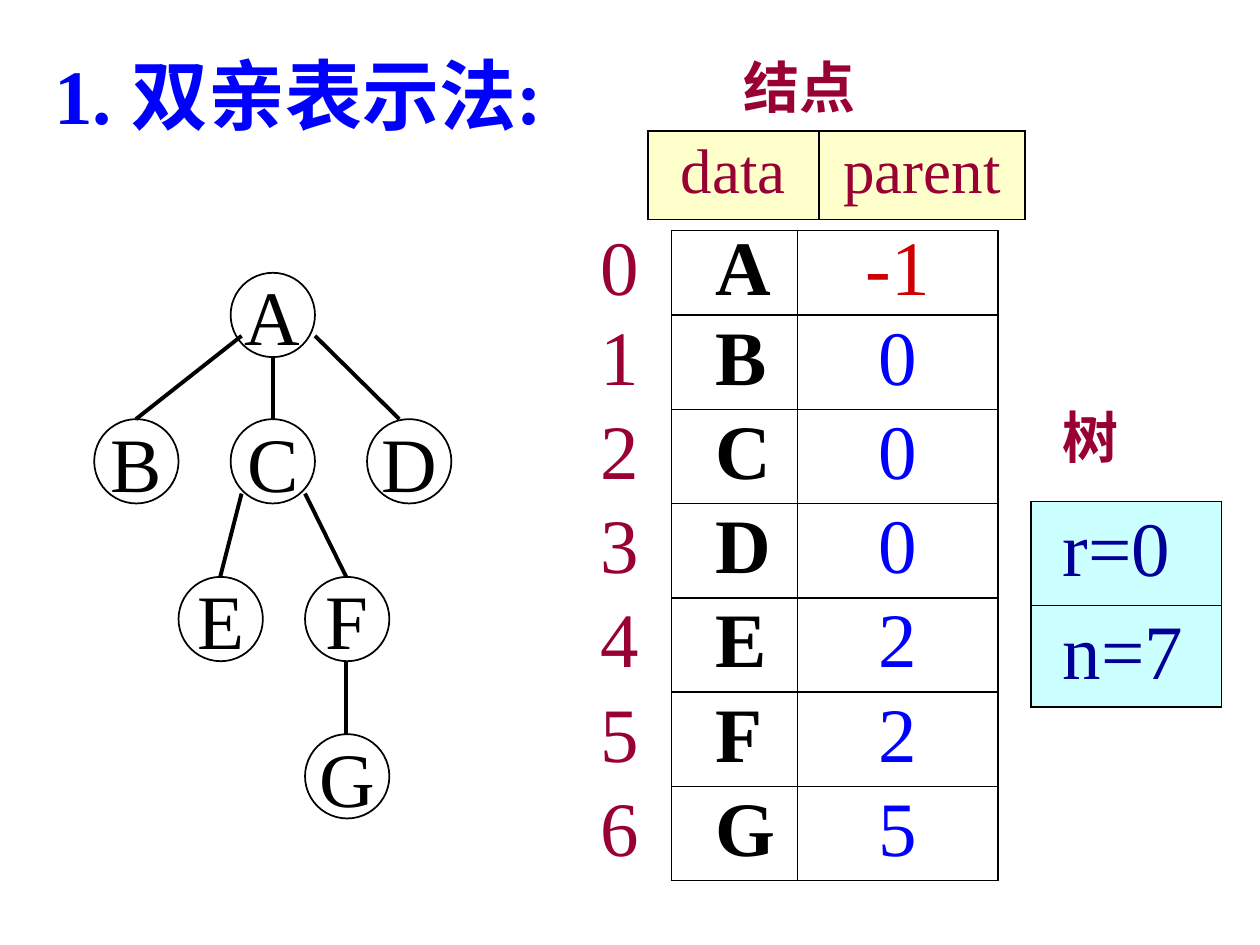
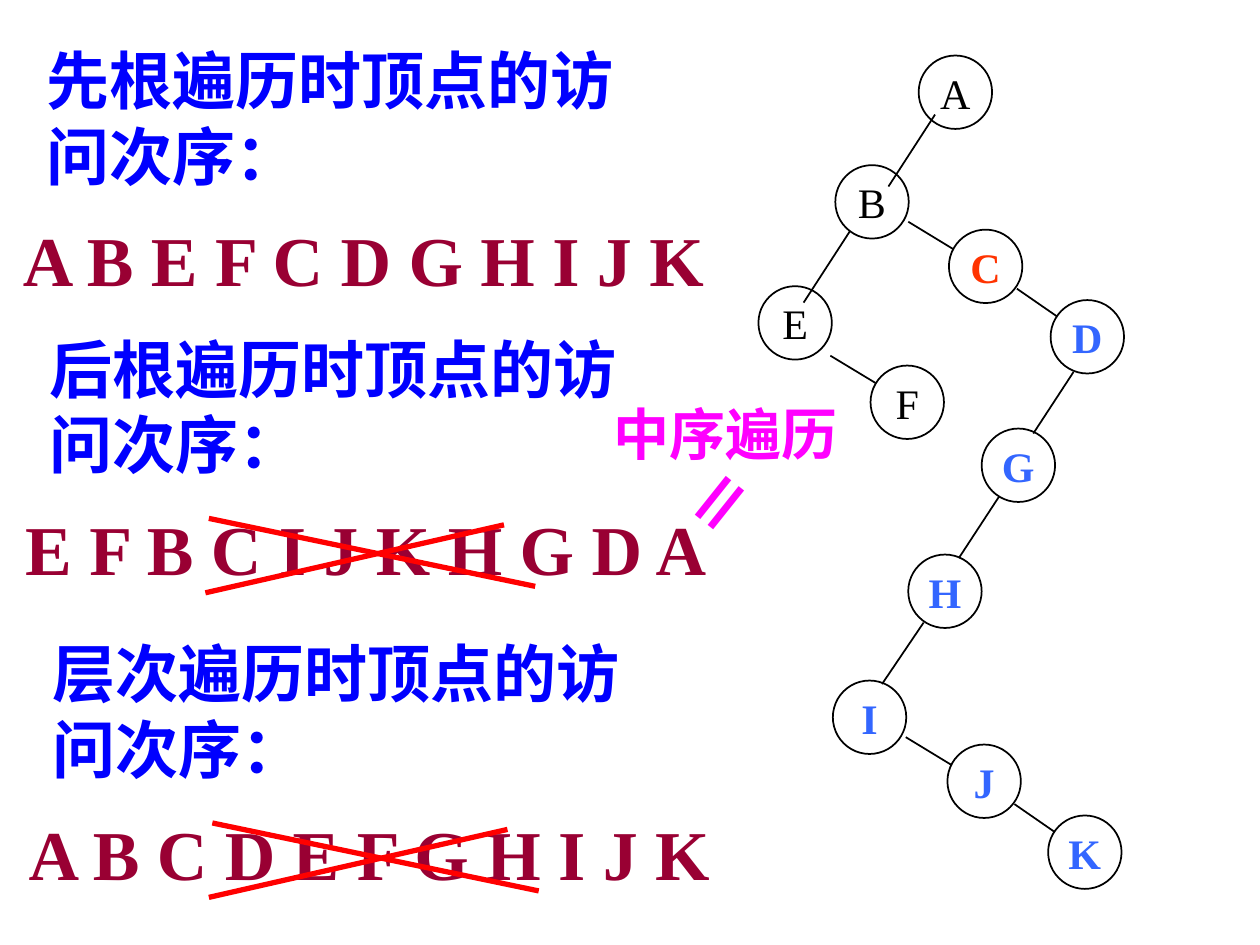
from lxml.etree import SubElement
from pptx import Presentation
from pptx.dml.color import RGBColor as Rgb
from pptx.enum.shapes import MSO_CONNECTOR as Link, MSO_SHAPE as Form
from pptx.enum.text import MSO_ANCHOR as Anchor, MSO_AUTO_SIZE as Fit, PP_ALIGN as Align
from pptx.oxml.ns import qn
from pptx.util import Cm, Pt

FONT = "Times New Roman"
HUES = {
    "black": "000000", "blue": "0000FF", "wine": "990033", "navy": "000099",
    "red": "FF0000", "brick": "CC0000", "pink": "FF00FF", "sky": "3366FF",
    "coral": "FF3300", "cream": "FFFFCC", "aqua": "CCFFFF",
}


def hue(name):
    """Return the named colour."""
    return Rgb.from_string(HUES[name])


def write(frame, text, size, tone, bold=False, align=Align.LEFT, space=None):
    """Put one formatted run into the first paragraph."""
    para = frame.paragraphs[0]
    para.alignment = align
    para.line_spacing = space
    run = para.add_run()
    run.text = text
    font = run.font
    font.name, font.size, font.bold = FONT, Pt(size), bold
    font.color.rgb = hue(tone)


def label(slide, box, text, size, tone, wrap=True, space=None):
    """Add a bold text box."""
    shape = slide.shapes.add_textbox(*map(Cm, box))
    shape.text_frame.word_wrap = wrap
    write(shape.text_frame, text, size, tone, True, space=space)
    return shape


def title(slide, box, text, size):
    """Move and fill the title placeholder."""
    shape = slide.shapes.title
    shape.left, shape.top, shape.width, shape.height = map(Cm, box)
    frame = shape.text_frame
    frame.word_wrap, frame.auto_size = True, Fit.NONE
    frame.vertical_anchor = Anchor.TOP
    write(frame, text, size, "blue", True)


def stroke(slide, box, ends, tone, width):
    """Draw a line between two points of a box."""
    x, y = box[:2]
    x1, y1, x2, y2 = ends
    line = slide.shapes.add_connector(
        Link.STRAIGHT, Cm(x + x1), Cm(y + y1), Cm(x + x2), Cm(y + y2))
    line.line.color.rgb = hue(tone)
    line.line.width = Pt(width)
    SubElement(line.element.spPr, qn("a:effectLst"))


def tree(slide, box, nodes, edges, side, size, width):
    """Draw round lettered nodes and their edges."""
    x, y = box[:2]
    for name, dx, dy, tone in nodes:
        node = slide.shapes.add_shape(
            Form.OVAL, Cm(x + dx), Cm(y + dy), Cm(side), Cm(side))
        node.shadow.inherit = False
        node.fill.background()
        node.line.color.rgb = hue("black")
        node.line.width = Pt(1)
        frame = node.text_frame
        frame.word_wrap = False
        frame.vertical_anchor = Anchor.MIDDLE
        frame.margin_left = frame.margin_right = 0
        frame.margin_top = frame.margin_bottom = 0
        write(frame, name, size, tone, tone != "black", Align.CENTER)
    for ends in edges:
        stroke(slide, box, ends, "black", width)


def border(cell, sides):
    """Draw the given sides of a cell and clear the others."""
    props = cell._tc.get_or_add_tcPr()
    for side in "LRTB":
        line = SubElement(props, qn(f"a:ln{side}"), w=str(Pt(1)))
        if side in sides:
            fill = SubElement(line, qn("a:solidFill"))
            SubElement(fill, qn("a:srgbClr"), val=HUES["black"])
        else:
            SubElement(line, qn("a:noFill"))


def grid(slide, box, cols, rows, cells, styles, size, fill=None):
    """Add a table; each column style is inset, alignment and sides."""
    table = slide.shapes.add_table(len(rows), len(cols), *map(Cm, box)).table
    table.first_row = table.horz_banding = False
    for col, width in zip(table.columns, cols):
        col.width = Cm(width)
    for r, (height, line) in enumerate(zip(rows, cells)):
        table.rows[r].height = Cm(height)
        for c, (text, tone, bold) in enumerate(line):
            inset, align, sides = styles[c]
            cell = table.cell(r, c)
            border(cell, sides)
            if fill:
                cell.fill.solid()
                cell.fill.fore_color.rgb = hue(fill)
            else:
                cell.fill.background()
            cell.margin_left = Cm(inset)
            cell.margin_right = cell.margin_top = cell.margin_bottom = 0
            cell.vertical_anchor = Anchor.MIDDLE
            write(cell.text_frame, text, size, tone, bold, align, 0.9)


def order(slide, box, head, seq, first=False, wrong=False):
    """Place a traversal heading with its sequence, crossed out if wrong."""
    if first:
        title(slide, box, head, 36)
    else:
        label(slide, box, head, 36, "blue")
    row = (box[0] - 0.48, box[1] + 3.54, 14.38, 1.96)
    label(slide, row, " ".join(seq), 40, "wine", wrap=False)
    if wrong:
        for ends in ((3.95, 0.38, 10.53, 1.75), (3.88, 1.88, 9.9, 0.51)):
            stroke(slide, row, ends, "red", 3)


def parents(slide):
    """Build the parent array slide."""
    title(slide, (0.84, 0.84, 10.34, 3.9), "1. 双亲表示法:", 44)
    top, low, base, last = 0, 2.95, 6.13, 9.3
    spots = (("A", 2.75, top), ("B", 0, low), ("C", 2.75, low), ("D", 5.5, low),
             ("E", 1.7, base), ("F", 4.25, base), ("G", 4.25, last))
    edges = (
        (3.6, 1.68, 3.6, low), (4.45, 1.27, 6.15, low), (2.97, 1.27, 0.84, low),
        (2.97, 4.45, 2.54, base), (4.25, 4.45, 5.08, base), (5.08, 7.82, 5.08, last))
    tree(slide, (1.9, 5.5, 7.2, 11), [(*spot, "black") for spot in spots],
         edges, 1.7, 44, 2.25)

    label(slide, (14.74, 0.79, 4.4, 1.75), "结点", 32, "wine", space=1.1)
    mid = (0, Align.CENTER, "LRTB")
    heads = [("data", "wine", False), ("parent", "wine", False)]
    grid(slide, (13.06, 2.64, 7.6, 1.78), (3.45, 4.15), (1.78,),
         [heads], (mid, mid), 36, "cream")

    links = zip("ABCDEFG", ("-1", "0", "0", "0", "2", "2", "5"))
    cells = [[(str(i), "wine", False), (name, "black", True),
              (link, "blue" if i else "brick", False)]
             for i, (name, link) in enumerate(links)]
    styles = ((0.25, Align.LEFT, "R"), (0.88, Align.LEFT, "LRTB"), mid)
    grid(slide, (11.86, 4.65, 8.26, 13.13), (1.68, 2.54, 4.04),
         [1.7] + [1.9] * 6, cells, styles, 44)

    label(slide, (21.16, 7.85, 3.4, 1.75), "树", 32, "wine", space=1.1)
    facts = [[(text, "navy", False)] for text in ("r=0", "n=7")]
    grid(slide, (20.78, 10.11, 3.84, 4.14), (3.84,), (2.1, 2.04), facts,
         [(0.64, Align.LEFT, "LRTB")], 44, "aqua")


def visits(slide):
    """Build the traversal order slide."""
    nodes = (
        ("A", 3.23, 0, "black"), ("B", 1.55, 2.21, "black"),
        ("C", 3.84, 3.51, "coral"), ("D", 5.89, 4.93, "sky"),
        ("E", 0, 4.65, "black"), ("F", 2.26, 6.25, "black"),
        ("G", 4.5, 7.52, "sky"), ("H", 3.02, 10.06, "sky"),
        ("I", 1.5, 12.6, "sky"), ("J", 3.81, 13.89, "sky"),
        ("K", 5.84, 15.32, "sky"))
    edges = (
        (3.56, 1.19, 2.62, 2.64), (3.02, 3.35, 3.94, 3.91),
        (1.85, 3.53, 0.91, 4.98), (1.45, 6.05, 2.36, 6.6),
        (5.21, 4.7, 6.02, 5.26), (6.35, 6.38, 5.54, 7.62),
        (4.85, 8.89, 4.04, 10.13), (3.33, 11.43, 2.49, 12.67),
        (2.97, 13.74, 3.89, 14.3), (5.16, 15.09, 5.97, 15.65))
    tree(slide, (15.29, 1.12, 7.36, 16.8), nodes, edges, 1.48, 24, 1)

    order(slide, (0.69, 0.71, 12.9, 3.3), "先根遍历时顶点的访问次序：",
          "ABEFCDGHIJK", first=True)
    order(slide, (0.74, 6.53, 13.16, 3.3), "后根遍历时顶点的访问次序：",
          "EFBCIJKHGDA", wrong=True)
    order(slide, (0.81, 12.67, 12.27, 3.3), "层次遍历时顶点的访问次序：",
          "ABCDEFGHIJK", wrong=True)
    label(slide, (12.12, 7.92, 6.6, 1.63), "中序遍历", 32, "pink")
    label(slide, (13.31, 8.66, 3.2, 1.96), "＝", 40, "pink").rotation = 308.6


def main():
    """Build and save both slides."""
    deck = Presentation()
    deck.slide_width, deck.slide_height = Cm(25.4), Cm(19.05)
    for build in (parents, visits):
        build(deck.slides.add_slide(deck.slide_layouts[5]))
    deck.save("out.pptx")


if __name__ == "__main__":
    main()
